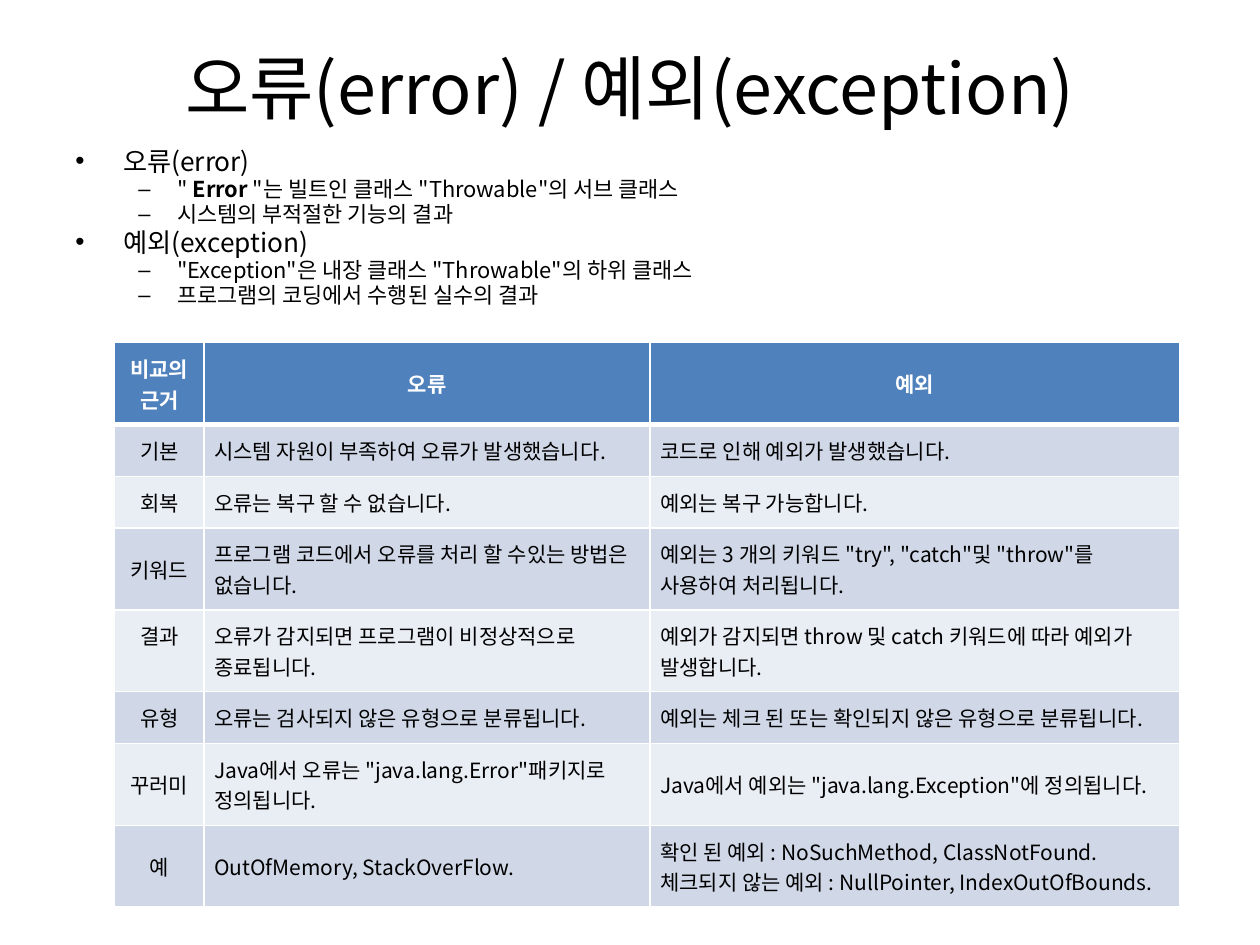
from dataclasses import dataclass

import pptx
import pptx.dml.color
import pptx.enum.text
import pptx.oxml.ns
import pptx.util
from lxml import etree

ALIGN = pptx.enum.text.PP_ALIGN
ANCHOR = pptx.enum.text.MSO_ANCHOR
COLS, ROWS = 100, 75

TITLE = "오류(error) / 예외(exception)"

# Each point is a level and its runs; every second run is bold.
POINTS = [
    (0, ["오류(error)"]),
    (1, ['" ', "Error ", '"는 빌트인 클래스 "Throwable"의 서브 클래스']),
    (1, ["시스템의 부적절한 기능의 결과"]),
    (0, ["예외(exception)"]),
    (1, ['"Exception"은 내장 클래스 "Throwable"의 하위 클래스']),
    (1, ["프로그램의 코딩에서 수행된 실수의 결과"]),
]

TABLE = [
    ("비교의 근거", "오류", "예외"),
    ("기본", "시스템 자원이 부족하여 오류가 발생했습니다.", "코드로 인해 예외가 발생했습니다."),
    ("회복", "오류는 복구 할 수 없습니다.", "예외는 복구 가능합니다."),
    ("키워드", "프로그램 코드에서 오류를 처리 할 수있는 방법은 없습니다.",
     '예외는 3 개의 키워드 "try", "catch"및 "throw"를 사용하여 처리됩니다.'),
    ("결과", "오류가 감지되면 프로그램이 비정상적으로 종료됩니다.",
     "예외가 감지되면 throw 및 catch 키워드에 따라 예외가 발생합니다."),
    ("유형", "오류는 검사되지 않은 유형으로 분류됩니다.",
     "예외는 체크 된 또는 확인되지 않은 유형으로 분류됩니다."),
    ("꾸러미", 'Java에서 오류는 "java.lang.Error"패키지로 정의됩니다.',
     'Java에서 예외는 "java.lang.Exception"에 정의됩니다.'),
    ("예", "OutOfMemory, StackOverFlow.",
     "확인 된 예외 : NoSuchMethod, ClassNotFound.\n"
     "체크되지 않는 예외 : NullPointer, IndexOutOfBounds."),
]


@dataclass(frozen=True)
class Theme:
    font: str = "Noto Sans CJK KR"
    ink: str = "000000"
    white: str = "FFFFFF"
    head: str = "4F81BD"
    bands: tuple = ("D0D8E8", "E9EDF4")
    title: float = 40
    points: tuple = (15, 12.5)
    cell: float = 12
    marks: tuple = ("•", "–")
    indents: tuple = ((0.38, -0.38), (0.81, -0.31))
    inset: float = 0.08


def color(code):
    return pptx.dml.color.RGBColor.from_string(code)


def node(parent, tag, **attrs):
    return etree.SubElement(parent, pptx.oxml.ns.qn(tag), **attrs)


class Deck:
    def __init__(self, theme):
        self.theme = theme
        self.file = pptx.Presentation()
        self.file.slide_width = pptx.util.Inches(10)
        self.file.slide_height = pptx.util.Inches(7.5)
        self.slide = self.file.slides.add_slide(self.file.slide_layouts[5])

    def across(self, count):
        return round(self.file.slide_width * count / COLS)

    def down(self, count):
        return round(self.file.slide_height * count / ROWS)

    def area(self, left, top, width, height):
        return self.across(left), self.down(top), self.across(width), self.down(height)

    def style(self, run, size, code, bold=False):
        font = run.font
        font.size, font.bold, font.name = pptx.util.Pt(size), bold, self.theme.font
        font.color.rgb = color(code)
        node(run._r.get_or_add_rPr(), "a:ea", typeface=self.theme.font)

    def title(self, text, *area):
        shape = self.slide.shapes.title
        shape.left, shape.top, shape.width, shape.height = self.area(*area)
        frame = shape.text_frame
        frame.text = text
        frame.auto_size = pptx.enum.text.MSO_AUTO_SIZE.NONE
        frame.vertical_anchor = ANCHOR.MIDDLE
        para = frame.paragraphs[0]
        para.alignment = ALIGN.CENTER
        self.style(para.runs[0], self.theme.title, self.theme.ink)

    def bullets(self, points, *area):
        frame = self.slide.shapes.add_textbox(*self.area(*area)).text_frame
        frame.word_wrap = True
        for index, (level, parts) in enumerate(points):
            para = frame.add_paragraph() if index else frame.paragraphs[0]
            size = self.theme.points[level]
            para.level = level
            para.line_spacing = 0.8
            para.space_before = pptx.util.Pt(size * 0.2)
            margin, indent = map(pptx.util.Inches, self.theme.indents[level])
            props = para._p.get_or_add_pPr()
            props.set("marL", str(margin))
            props.set("indent", str(indent))
            node(props, "a:buFont", typeface="Arial")
            node(props, "a:buChar", char=self.theme.marks[level])
            for place, part in enumerate(parts):
                run = para.add_run()
                run.text = part
                self.style(run, size, self.theme.ink, bold=place % 2 == 1)

    def border(self, cell, top, bottom):
        props = cell._tc.get_or_add_tcPr()
        widths = {"a:lnL": 1, "a:lnR": 1, "a:lnT": top, "a:lnB": bottom}
        for index, (tag, width) in enumerate(widths.items()):
            line = node(props, tag, w=str(pptx.util.Pt(width)))
            node(node(line, "a:solidFill"), "a:srgbClr", val=self.theme.white)
            props.insert(index, line)

    def cell(self, cell, text, row, col):
        theme, head = self.theme, row == 0
        cell.fill.solid()
        cell.fill.fore_color.rgb = color(theme.head if head else theme.bands[(row - 1) % 2])
        self.border(cell, top=3 if row == 1 else 1, bottom=3 if head else 1)
        inset = pptx.util.Inches(theme.inset)
        cell.margin_left = cell.margin_right = inset
        cell.margin_top = cell.margin_bottom = inset
        cell.vertical_anchor = ANCHOR.MIDDLE
        para = cell.text_frame.paragraphs[0]
        para.text = text
        para.alignment = ALIGN.CENTER if head or col == 0 else ALIGN.LEFT
        for run in para.runs:
            self.style(run, theme.cell, theme.white if head else theme.ink, bold=head)

    def table(self, data, left, top, widths, heights):
        area = self.area(left, top, sum(widths), sum(heights))
        table = self.slide.shapes.add_table(len(data), len(widths), *area).table
        for column, width in zip(table.columns, widths):
            column.width = self.across(width)
        for row, (texts, height) in enumerate(zip(data, heights)):
            table.rows[row].height = self.down(height)
            for col, text in enumerate(texts):
                self.cell(table.cell(row, col), text, row, col)
        return table


def main():
    deck = Deck(Theme())
    deck.title(TITLE, 5, 3, 90, 7.7)
    deck.bullets(POINTS, 5, 11.5, 90, 14.2)
    one, two = 4.1, 6.5
    heights = [two, one, one, two, two, one, two, two]
    table = deck.table(TABLE, 9.1, 27.2, [7.1, 35.4, 42], heights)
    table.cell(4, 0).vertical_anchor = ANCHOR.TOP
    deck.file.save("out.pptx")


if __name__ == "__main__":
    main()
